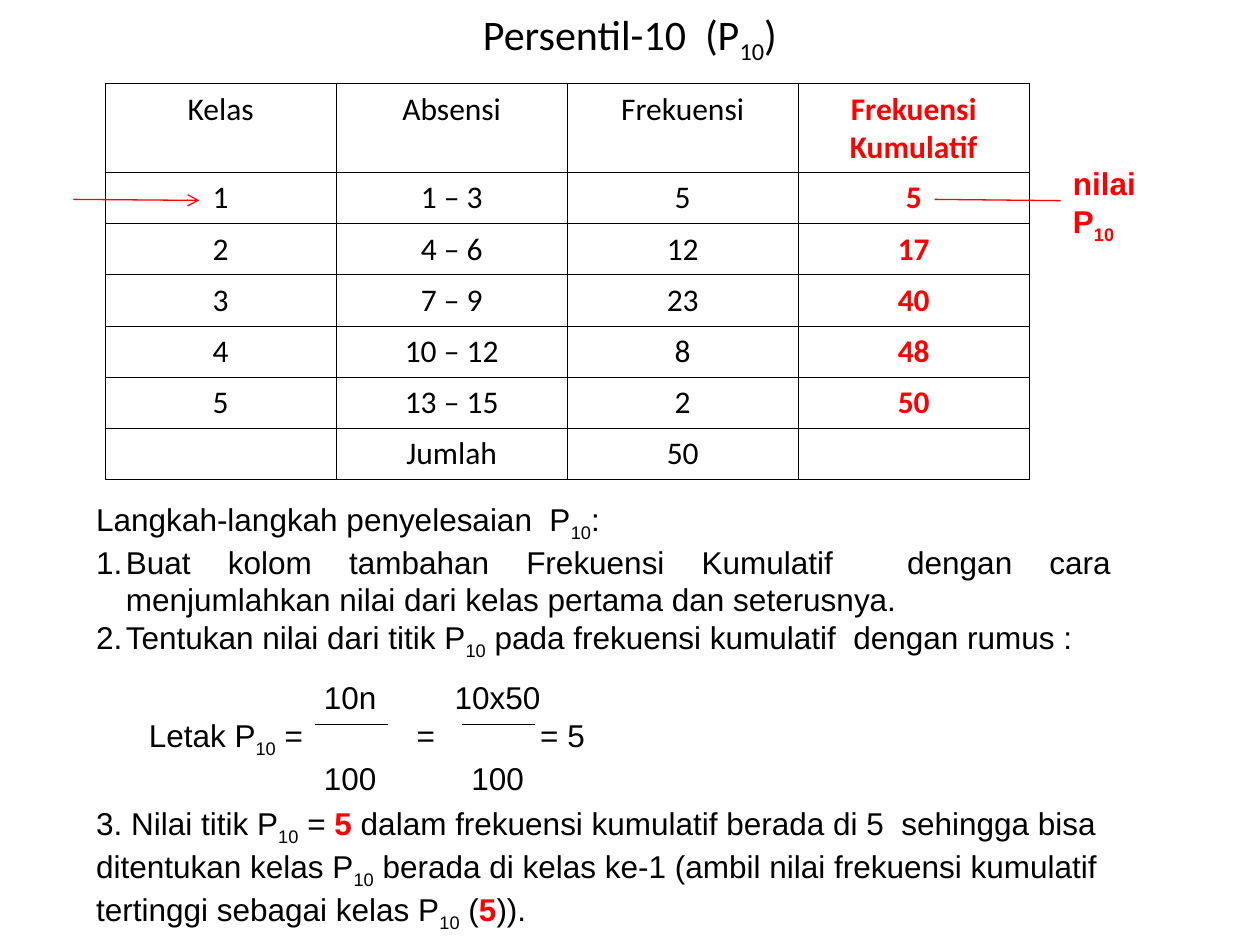
import pptx
import pptx.dml.color
import pptx.enum.shapes
import pptx.enum.text
import pptx.oxml.ns
import pptx.util
from dataclasses import dataclass
from lxml import etree

Cm, Pt = pptx.util.Cm, pptx.util.Pt
qn = pptx.oxml.ns.qn
ALIGN = pptx.enum.text.PP_ALIGN
ANCHOR = pptx.enum.text.MSO_ANCHOR


@dataclass(frozen=True)
class Theme:
    ink: str = "000000"
    accent: str = "FF0000"
    table_font: str = "Calibri"
    body_font: str = "Arial"
    title_size: int = 24
    body_size: int = 18
    line_width: float = 0.75
    border_width: float = 0.45


def set_values(target, values):
    for name, value in values.items():
        setattr(target, name, value)


def add_node(parent, tag, **attributes):
    return etree.SubElement(parent, qn(tag), attributes)


class SlideBuilder:
    def __init__(self, page, theme):
        self.page, self.theme = page, theme

    def add_spans(self, para, spans, font, size, strong=False):
        """Spans are strings or (text, style) pairs; styles are "sub" and "key"."""
        for item in spans:
            text, style = (item, "") if isinstance(item, str) else item
            key = strong or style == "key"
            span = para.add_run()
            span.text = text
            set_values(span.font, {"name": font, "size": Pt(size), "bold": key})
            colour = self.theme.accent if key else self.theme.ink
            span.font.color.rgb = pptx.dml.color.RGBColor.from_string(colour)
            if style == "sub":
                span.font._element.set("baseline", "-25000")

    def text(self, left, top, width, height, paras, font=None, size=None,
             strong=False, align=ALIGN.LEFT, anchor=ANCHOR.TOP):
        """Each paragraph is (spans, options): numbered, or tabs as (kind, cm) pairs."""
        box = self.page.shapes.add_textbox(Cm(left), Cm(top), Cm(width), Cm(height))
        frame = box.text_frame
        set_values(frame, {"word_wrap": True, "vertical_anchor": anchor})
        for index, (spans, options) in enumerate(paras):
            para = frame.paragraphs[0] if index == 0 else frame.add_paragraph()
            para.alignment = align
            properties = para._p.get_or_add_pPr()
            if options.get("numbered"):
                indent = Cm(0.6)
                properties.set("marL", str(indent))
                properties.set("indent", str(-indent))
                add_node(properties, "a:buFont", typeface=self.theme.body_font)
                add_node(properties, "a:buAutoNum", type="arabicPeriod")
            if "tabs" in options:
                stops = add_node(properties, "a:tabLst")
                for kind, place in options["tabs"]:
                    add_node(stops, "a:tab", pos=str(Cm(place)), algn=kind)
            self.add_spans(para, spans, font or self.theme.body_font,
                           size or self.theme.body_size, strong)
        return box

    def line(self, x1, y1, x2, y2, colour, arrow=False):
        connector = self.page.shapes.add_connector(
            pptx.enum.shapes.MSO_CONNECTOR.STRAIGHT, Cm(x1), Cm(y1), Cm(x2), Cm(y2))
        connector.line.width = Pt(self.theme.line_width)
        connector.line.color.rgb = pptx.dml.color.RGBColor.from_string(colour)
        if arrow:
            add_node(connector.line._get_or_add_ln(), "a:tailEnd", type="arrow")
        add_node(connector._element.spPr, "a:effectLst")
        return connector

    def border(self, cell):
        properties = cell._tc.get_or_add_tcPr()
        for side in ("a:lnL", "a:lnR", "a:lnT", "a:lnB"):
            edge = add_node(properties, side, w=str(Pt(self.theme.border_width)))
            fill = add_node(edge, "a:solidFill")
            add_node(fill, "a:srgbClr", val=self.theme.ink)

    def table(self, left, top, width, heights, rows, strong_column):
        columns = len(rows[0])
        frame = self.page.shapes.add_table(
            len(rows), columns, Cm(left), Cm(top), Cm(width), Cm(sum(heights)))
        table = frame.table
        set_values(table, {"first_row": False, "horz_banding": False})
        for column in table.columns:
            column.width = Cm(width / columns)
        for r, values in enumerate(rows):
            table.rows[r].height = Cm(heights[r])
            for c, value in enumerate(values):
                cell = table.cell(r, c)
                self.border(cell)
                cell.fill.background()
                para = cell.text_frame.paragraphs[0]
                para.alignment = ALIGN.CENTER
                if value:
                    self.add_spans(para, [value], self.theme.table_font,
                                   self.theme.body_size, c == strong_column)


def main():
    deck = pptx.Presentation()
    set_values(deck, {"slide_width": Cm(25.4), "slide_height": Cm(19.05)})
    theme = Theme()
    page = deck.slides.add_slide(deck.slide_layouts[6])
    build = SlideBuilder(page, theme)
    sub = ("10", "sub")

    # Title
    build.text(1.27, 0, 22.86, 1.48, [(["Persentil-10  (P", sub, ")"], {})],
               font=theme.table_font, size=theme.title_size,
               align=ALIGN.CENTER, anchor=ANCHOR.MIDDLE)

    # Frequency table
    rows = [
        ("Kelas", "Absensi", "Frekuensi", "Frekuensi Kumulatif"),
        ("1", "1 – 3", "5", "5"),
        ("2", "4 – 6", "12", "17"),
        ("3", "7 – 9", "23", "40"),
        ("4", "10 – 12", "8", "48"),
        ("5", "13 – 15", "2", "50"),
        ("", "Jumlah", "50", ""),
    ]
    build.table(2.12, 1.69, 18.63, [1.79] + [1.03] * 6, rows, strong_column=3)

    # Value label and row markers
    label = build.text(21.38, 3.18, 2.12, 1.73,
                       [(["nilai"], {}), (["P", sub], {})], strong=True)
    marker = build.line(18.84, 4.02, 21.38, 4.04, theme.accent)
    marker.end_connect(label, 1)
    build.line(1.48, 4.02, 4.02, 4.04, theme.accent, arrow=True)

    # Formula with its fraction bars
    fraction = {"tabs": [("ctr", 4.06), ("ctr", 7.03)]}
    equals = {"tabs": [("l", 5.4), ("l", 7.89)]}
    build.text(2.75, 13.55, 13.97, 2.65, [
        (["\t10n\t10x50"], fraction),
        (["Letak P", sub, " =\t=\t= 5"], equals),
        (["\t100\t100"], fraction),
    ])
    for left in (6.35, 9.31):
        build.line(left, 14.61, left + 1.48, 14.61, theme.ink)

    # Solution steps
    build.text(1.69, 9.95, 20.96, 5.03, [
        (["Langkah-langkah penyelesaian  P", sub, ":"], {}),
        (["Buat kolom tambahan Frekuensi Kumulatif  dengan cara "
          "menjumlahkan nilai dari kelas pertama dan seterusnya."], {"numbered": True}),
        (["Tentukan nilai dari titik P", sub,
          " pada frekuensi kumulatif  dengan rumus :"], {"numbered": True}),
    ], align=ALIGN.JUSTIFY)
    build.text(1.69, 16.09, 22.44, 2.87, [
        (["3. Nilai titik P", sub, " = ", ("5", "key"),
          " dalam frekuensi kumulatif berada di 5  sehingga bisa ditentukan kelas P", sub,
          " berada di kelas ke-1 (ambil nilai frekuensi kumulatif "
          "tertinggi sebagai kelas P", sub, " (", ("5", "key"), "))."], {}),
    ])

    deck.save("out.pptx")


if __name__ == "__main__":
    main()
